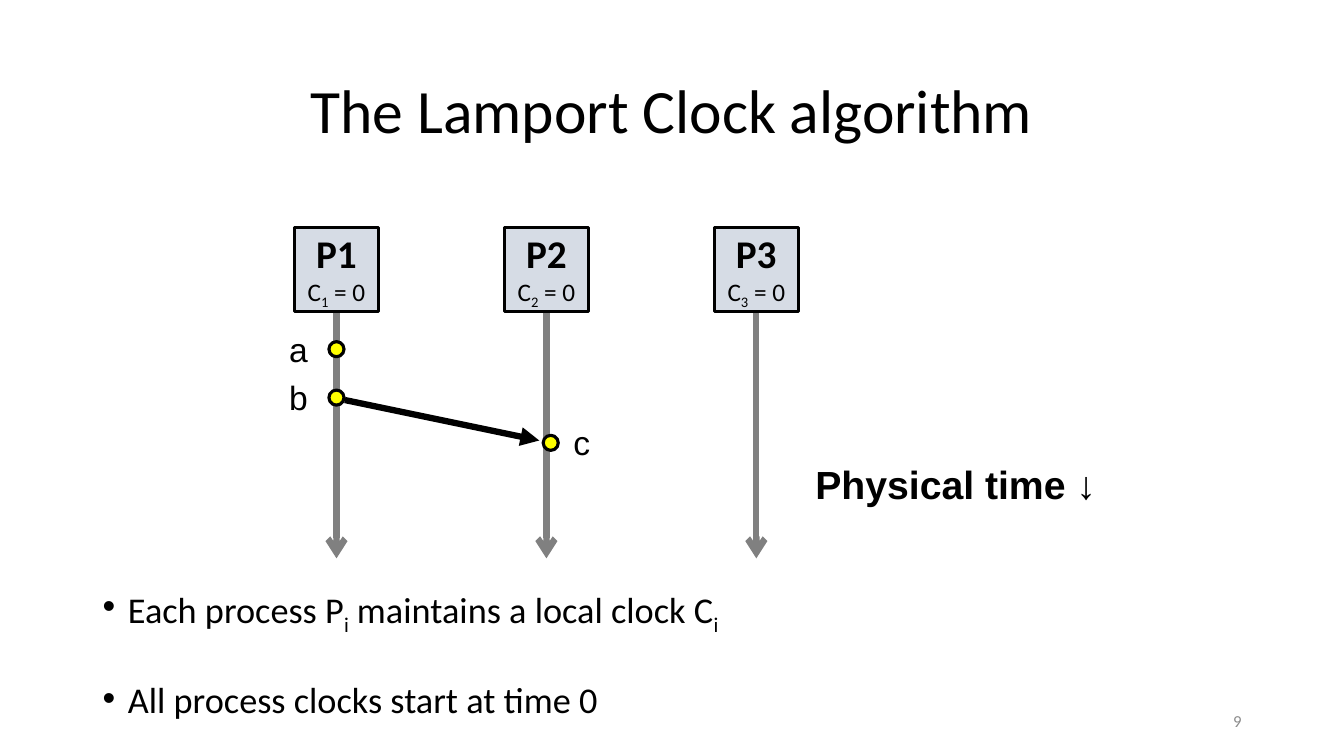
from dataclasses import dataclass

from lxml.etree import SubElement
from pptx import Presentation
from pptx.dml.color import RGBColor
from pptx.enum.shapes import MSO_CONNECTOR, MSO_SHAPE
from pptx.enum.text import MSO_ANCHOR, MSO_AUTO_SIZE, PP_ALIGN
from pptx.oxml.ns import qn
from pptx.util import Cm, Pt


@dataclass(frozen=True)
class Theme:
    ink: str = "000000"
    timeline: str = "808080"
    process_fill: str = "D6DCE5"
    event_fill: str = "FFFF00"
    muted: str = "8C8C8C"
    main_font: str = "Calibri"
    label_font: str = "Arial"
    title_size: float = 44
    heading_size: float = 28
    body_size: float = 25.9
    event_size: float = 24
    clock_size: float = 18
    number_size: float = 12
    outline: float = 2.25
    arrow_width: float = 4.5


class ClockSlide:
    def __init__(self, deck, theme):
        self.theme = theme
        self.slide = deck.slides.add_slide(deck.slide_layouts[1])

    def add_runs(self, paragraph, runs, size, font=None, color=None, bold=False):
        """Add runs; a run starting with "_" is set as a subscript."""
        for text in runs:
            run = paragraph.add_run()
            run.text = text.removeprefix("_")
            run.font.name = font or self.theme.main_font
            run.font.size = Pt(size)
            run.font.bold = bold
            run.font.color.rgb = RGBColor.from_string(color or self.theme.ink)
            if text.startswith("_"):
                run._r.get_or_add_rPr().set("baseline", "-25000")

    def place(self, shape, left, top, width, height):
        shape.left, shape.top = Cm(left), Cm(top)
        shape.width, shape.height = Cm(width), Cm(height)
        shape.text_frame.auto_size = MSO_AUTO_SIZE.NONE
        return shape.text_frame

    def title(self, text, *box):
        frame = self.place(self.slide.shapes.title, *box)
        frame.vertical_anchor = MSO_ANCHOR.MIDDLE
        heading = frame.paragraphs[0]
        heading.alignment = PP_ALIGN.CENTER
        heading.line_spacing = 0.9
        self.add_runs(heading, [text], self.theme.title_size)

    def bullets(self, items, *box):
        frame = self.place(self.slide.placeholders[1], *box)
        frame.vertical_anchor = MSO_ANCHOR.TOP
        for index, runs in enumerate(items):
            item = frame.add_paragraph() if index else frame.paragraphs[0]
            props = item._p.get_or_add_pPr()
            props.set("marL", str(Cm(0.64)))
            props.set("indent", str(Cm(-0.64)))
            SubElement(props, qn("a:buFont")).set("typeface", self.theme.label_font)
            SubElement(props, qn("a:buChar")).set("char", "•")
            item.line_spacing = 0.7
            item.space_before = Pt(42 if index else 0)
            self.add_runs(item, runs, self.theme.body_size)

    def label(self, text, left, top, width, height, size, font=None,
              color=None, bold=False, align=PP_ALIGN.LEFT):
        box = self.slide.shapes.add_textbox(
            Cm(left), Cm(top), Cm(width), Cm(height))
        frame = box.text_frame
        frame.word_wrap = True
        frame.vertical_anchor = MSO_ANCHOR.MIDDLE
        frame.paragraphs[0].alignment = align
        self.add_runs(frame.paragraphs[0], [text], size, font, color, bold)

    def outlined(self, kind, center_x, center_y, size, fill):
        shape = self.slide.shapes.add_shape(
            kind, Cm(center_x - size / 2), Cm(center_y - size / 2),
            Cm(size), Cm(size))
        shape.shadow.inherit = False
        shape.fill.solid()
        shape.fill.fore_color.rgb = RGBColor.from_string(fill)
        shape.line.color.rgb = RGBColor.from_string(self.theme.ink)
        shape.line.width = Pt(self.theme.outline)
        return shape

    def process(self, number, x, y, size):
        box = self.outlined(MSO_SHAPE.FLOWCHART_PROCESS, x, y, size,
                            self.theme.process_fill)
        frame = box.text_frame
        frame.margin_left = frame.margin_right = 0
        frame.margin_top = frame.margin_bottom = 0
        frame.word_wrap = True
        frame.vertical_anchor = MSO_ANCHOR.MIDDLE
        name, clock = frame.paragraphs[0], frame.add_paragraph()
        name.alignment = clock.alignment = PP_ALIGN.CENTER
        self.add_runs(name, [f"P{number}"], self.theme.heading_size, bold=True)
        self.add_runs(clock, ["C", f"_{number}", " = 0"], self.theme.clock_size)

    def event(self, name, x, y, label_offset):
        self.outlined(MSO_SHAPE.OVAL, x, y, 0.38, self.theme.event_fill)
        self.label(name, x + label_offset, y - 0.65, 1.2, 1.27,
                   self.theme.event_size, self.theme.label_font)

    def arrow(self, start, end, color, head):
        line = self.slide.shapes.add_connector(
            MSO_CONNECTOR.STRAIGHT, *map(Cm, start + end))
        line.line.color.rgb = RGBColor.from_string(color)
        line.line.width = Pt(self.theme.arrow_width)
        outline = line._element.spPr.find(qn("a:ln"))
        SubElement(outline, qn("a:tailEnd")).set("type", head)
        SubElement(line._element.spPr, qn("a:effectLst"))


def main():
    deck = Presentation()
    deck.slide_width, deck.slide_height = Cm(33.87), Cm(19.05)
    theme = Theme()
    page = ClockSlide(deck, theme)

    page.title("The Lamport Clock algorithm", 2.33, 1.02, 29.21, 3.68)

    # Processes and their timelines
    box_size, box_center, timeline_end = 2.12, 6.8, 14.07
    timelines = [8.48 + 5.29 * index for index in range(3)]
    for number, x in enumerate(timelines, 1):
        page.arrow((x, box_center + box_size / 2), (x, timeline_end),
                   theme.timeline, "arrow")
        page.process(number, x, box_center, box_size)

    # Events and the message from b to c
    page.event("a", timelines[0], 8.8, -1.44)
    page.event("b", timelines[0], 10.02, -1.44)
    page.event("c", timelines[1] + 0.11, 11.16, 0.32)
    page.arrow((8.69, 10.08), (13.59, 11.1), theme.ink, "triangle")

    # Time direction
    page.label("Physical time ↓", 20.3, 11.46, 8, 1.45, theme.heading_size,
               theme.label_font, bold=True)

    # Rules of the clock
    page.bullets([
        ["Each process P", "_i", " maintains a local clock C", "_i"],
        ["All process clocks start at time 0"],
    ], 2.33, 14.88, 29.21, 3.56)

    # Slide number
    page.label("9", 23.92, 17.66, 7.62, 1.01, theme.number_size,
               color=theme.muted, align=PP_ALIGN.RIGHT)

    deck.save("out.pptx")


if __name__ == "__main__":
    main()
